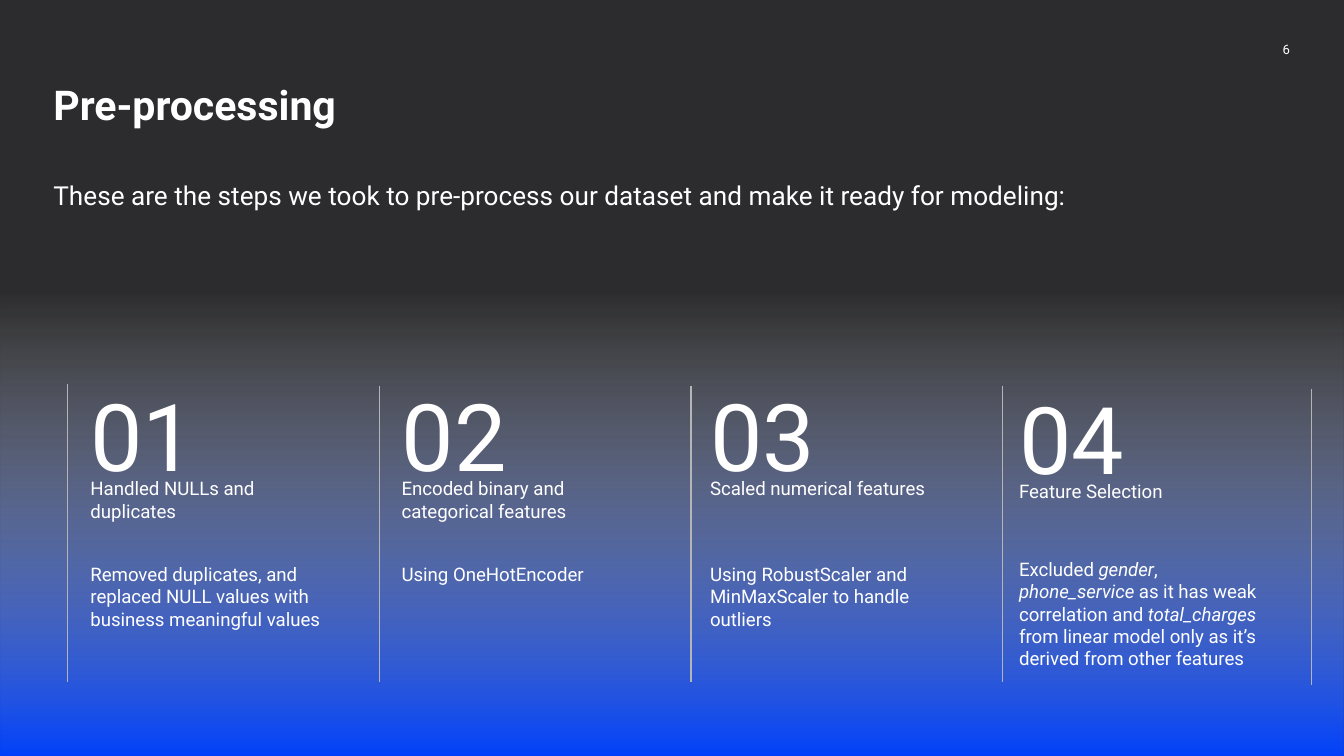
import pptx
import pptx.dml.color
import pptx.enum.shapes
import pptx.enum.text
import pptx.oxml.ns
import pptx.util
from lxml import etree

Cm = pptx.util.Cm
Pt = pptx.util.Pt
RGBColor = pptx.dml.color.RGBColor
Anchor = pptx.enum.text.MSO_ANCHOR
Align = pptx.enum.text.PP_ALIGN
qn = pptx.oxml.ns.qn

CHARCOAL = RGBColor(0x2C, 0x2C, 0x2E)
BLUE = RGBColor(0x01, 0x41, 0xFA)
WHITE = RGBColor(0xFF, 0xFF, 0xFF)
GREY = RGBColor(0xB5, 0xB5, 0xB7)

SLIDE_WIDTH, SLIDE_HEIGHT = 25.4, 14.29
COLUMN_WIDTH = 4.52
NUMBER_HEIGHT = 1.88
RULES = [
    (1.27, 7.25, 12.9),
    (7.17, 7.29, 12.9),
    (13.06, 7.29, 12.9),
    (18.95, 7.29, 12.9),
    (24.79, 7.35, 12.95),
]

STEPS = [
    (1.71, 7.14, 10.64, "01", "Handled NULLs and duplicates",
     [("Removed duplicates, and replaced NULL values with business meaningful values", False)]),
    (7.59, 7.14, 10.64, "02", "Encoded binary and categorical features",
     [("Using OneHotEncoder", False)]),
    (13.42, 7.14, 10.64, "03", "Scaled numerical features",
     [("Using RobustScaler and MinMaxScaler to handle outliers", False)]),
    (19.26, 7.2, 10.54, "04", "Feature Selection",
     [("Excluded ", False), ("gender", True), (", ", False), ("phone_service", True),
      (" as it has weak correlation and ", False), ("total_charges ", True),
      ("from linear model only as it’s derived from other features", False)]),
]


class SlideBuilder:
    font_name = "Roboto"
    text_color = WHITE

    def __init__(self, slide):
        self.slide = slide

    def background(self, color):
        fill = self.slide.background.fill
        fill.solid()
        fill.fore_color.rgb = color

    def glow(self, left, top, width, height, color):
        shape = self.slide.shapes.add_shape(
            pptx.enum.shapes.MSO_SHAPE.RECTANGLE, Cm(left), Cm(top), Cm(width), Cm(height))
        shape.shadow.inherit = False
        shape.line.fill.background()
        shape.fill.gradient()
        shape.fill.gradient_angle = 90
        start, end = shape.fill.gradient_stops
        start.position, start.color.rgb = 0, color
        end.position, end.color.rgb = 0.91, WHITE
        end_color = list(shape._element.spPr.iter(qn("a:srgbClr")))[-1]
        etree.SubElement(end_color, qn("a:alpha")).set("val", "0")

    def rule(self, x, top, bottom):
        connector = self.slide.shapes.add_connector(
            pptx.enum.shapes.MSO_CONNECTOR.STRAIGHT, Cm(x), Cm(top), Cm(x), Cm(bottom))
        connector.line.color.rgb = GREY
        connector.line.width = Pt(0.75)
        etree.SubElement(connector._element.spPr, qn("a:effectLst"))

    def text(self, left, top, width, height, runs, size, bold=False, inset=0,
             anchor=Anchor.TOP, align=Align.LEFT, spacing=1.0):
        shape = self.slide.shapes.add_textbox(Cm(left), Cm(top), Cm(width), Cm(height))
        text_frame = shape.text_frame
        text_frame.word_wrap = True
        text_frame.vertical_anchor = anchor
        text_frame.margin_left = text_frame.margin_right = 0
        text_frame.margin_top = text_frame.margin_bottom = Cm(inset)
        paragraph = text_frame.paragraphs[0]
        paragraph.alignment = align
        paragraph.line_spacing = spacing
        for words, italic in runs:
            run = paragraph.add_run()
            run.text = words
            run.font.name = self.font_name
            run.font.size = Pt(size)
            run.font.bold = bold
            run.font.italic = italic
            run.font.color.rgb = self.text_color

    def step(self, left, number_top, detail_top, number, heading, detail):
        heading_top = number_top + NUMBER_HEIGHT
        self.text(left, number_top, COLUMN_WIDTH, NUMBER_HEIGHT, [(number, False)], 50)
        self.text(left, heading_top, COLUMN_WIDTH, 0.86, [(heading, False)], 10)
        self.text(left, detail_top, COLUMN_WIDTH, 2.2, detail, 10)


def main():
    presentation = pptx.Presentation()
    presentation.slide_width = Cm(SLIDE_WIDTH)
    presentation.slide_height = Cm(SLIDE_HEIGHT)
    builder = SlideBuilder(presentation.slides.add_slide(presentation.slide_layouts[6]))

    builder.background(CHARCOAL)
    builder.glow(0, 4.67, SLIDE_WIDTH, SLIDE_HEIGHT - 4.67, BLUE)
    for rule in RULES:
        builder.rule(*rule)

    builder.text(22.86, 0.61, 1.52, 0.66, [("6", False)], 7, inset=0.25,
                 anchor=Anchor.MIDDLE, align=Align.RIGHT)
    builder.text(1.01, 1.5, 23.24, 0.94, [("Pre-processing", False)], 22, bold=True,
                 anchor=Anchor.BOTTOM, spacing=1.15)
    introduction = "These are the steps we took to pre-process our dataset and make it ready for modeling:"
    builder.text(1.01, 2.97, 23.24, 1.7, [(introduction, False)], 14, inset=0.38, spacing=1.15)
    for step in STEPS:
        builder.step(*step)

    presentation.save("out.pptx")


if __name__ == "__main__":
    main()
